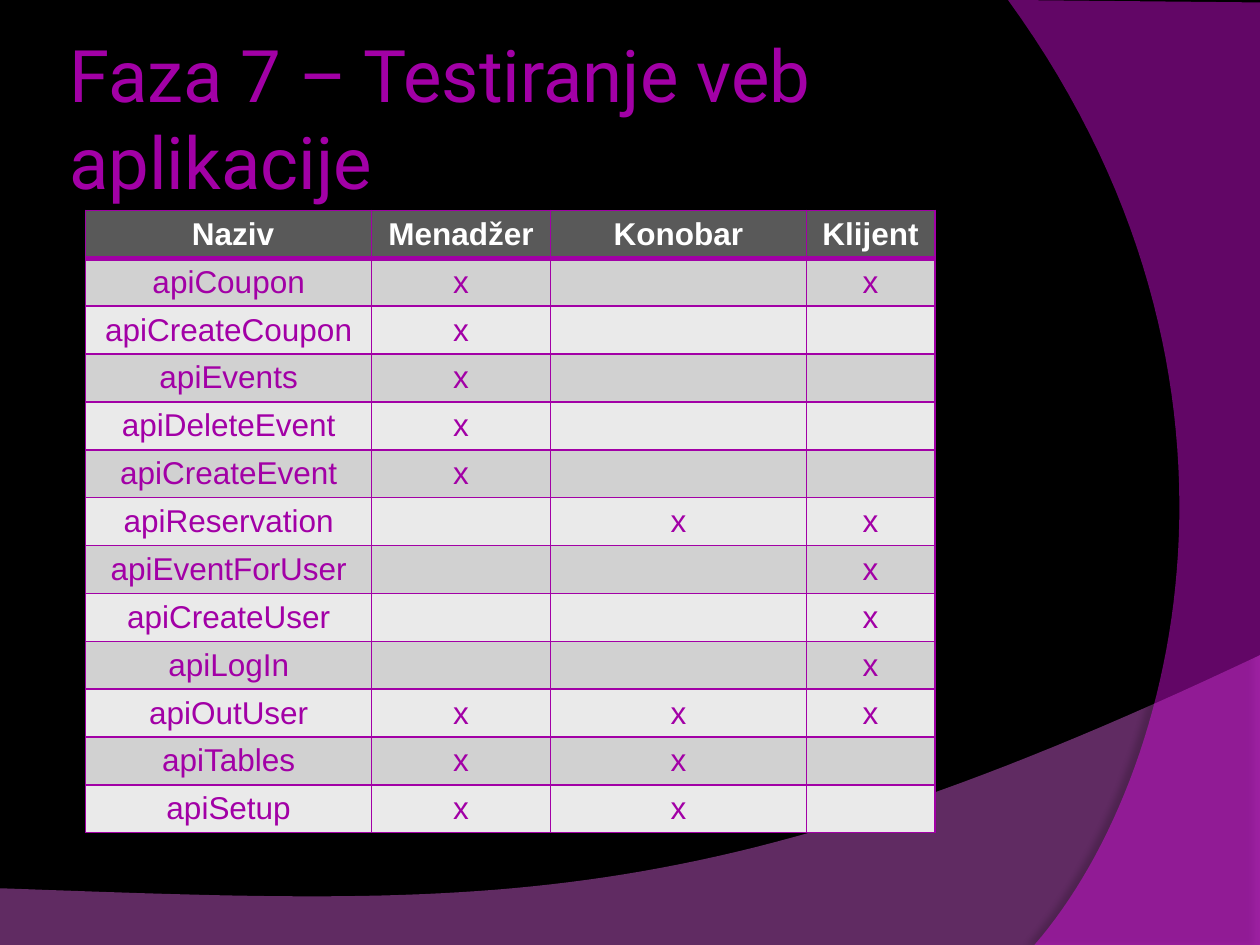
from lxml import etree
from pptx import Presentation
from pptx.dml.color import RGBColor
from pptx.enum.text import MSO_ANCHOR, PP_ALIGN
from pptx.oxml import parse_xml
from pptx.oxml.ns import nsdecls, qn
from pptx.util import Inches, Pt

CENTER, LEFT = PP_ALIGN.CENTER, PP_ALIGN.LEFT
MIDDLE = MSO_ANCHOR.MIDDLE
BLACK = RGBColor(0x00, 0x00, 0x00)
WHITE = RGBColor(0xFF, 0xFF, 0xFF)
PURPLE = RGBColor(0xA2, 0x00, 0xA6)
ORCHID = RGBColor(0xD6, 0x60, 0xDB)
MAGENTA = RGBColor(0xF6, 0x10, 0xFF)
HEADER_GRAY = RGBColor(0x59, 0x59, 0x59)
BAND_GRAYS = (RGBColor(0xEA, 0xEA, 0xEA), RGBColor(0xD1, 0xD1, 0xD1))
CURVE_STEPS = 60


def write(frame, text, size=18, font="Arial", color=PURPLE, bold=False, align=CENTER):
    paragraph = frame.paragraphs[0]
    paragraph.alignment = align
    run = paragraph.add_run()
    run.text = text
    run.font.size = Pt(size)
    run.font.name = font
    run.font.bold = bold
    run.font.color.rgb = color


def curve_points(p0, p1, p2, p3):
    """Return points along a cubic Bezier curve, leaving out its start."""
    points = []
    for step in range(1, CURVE_STEPS + 1):
        t = step / CURVE_STEPS
        weights = ((1 - t) ** 3, 3 * t * (1 - t) ** 2, 3 * t * t * (1 - t), t ** 3)
        points.append(tuple(sum(w * p[axis] for w, p in zip(weights, (p0, p1, p2, p3)))
                            for axis in (0, 1)))
    return points


prs = Presentation()
prs.slide_width, prs.slide_height = Inches(10), Inches(7.5)
slide = prs.slides.add_slide(prs.slide_layouts[6])
slide.background.fill.solid()
slide.background.fill.fore_color.rgb = BLACK

# Decorative waves: outline, colour, opacity, shadow opacity, distance, direction
bottom_wave = [(0, 7.05), (0, 7.5), (10, 7.5), (10, 5.2)]
bottom_wave += curve_points((10, 5.2), (5.59, 7.29), (3.91, 7.19), (0, 7.05))
right_wave = [(10, 0.02), (10, 7.5), (8.21, 7.5)]
right_wave += curve_points((8.21, 7.5), (9.35, 6.19), (10.18, 3), (8, 0))
waves = [
    (bottom_wave, ORCHID, 45, 35, 3.5, 270),
    (right_wave, MAGENTA, 40, 45, 4, 180),
]
for outline, color, opacity, shadow_opacity, distance, direction in waves:
    points = [(Inches(x), Inches(y)) for x, y in outline]
    builder = slide.shapes.build_freeform(*points[0])
    builder.add_line_segments(points[1:], close=True)
    wave = builder.convert_to_shape()
    wave.line.fill.background()
    wave.fill.solid()
    wave.fill.fore_color.rgb = color
    color_element = wave.fill._xPr.find(qn("a:solidFill"))[0]
    etree.SubElement(color_element, qn("a:alpha"), val=str(opacity * 1000))
    wave.shadow.inherit = False
    effects = wave._element.spPr.find(qn("a:effectLst"))
    effects.append(parse_xml(
        f'<a:outerShdw {nsdecls("a")} blurRad="{Pt(4)}" dist="{Pt(distance)}" '
        f'dir="{direction * 60000}" algn="ctr" rotWithShape="0"><a:srgbClr val="{BLACK}">'
        f'<a:alpha val="{shadow_opacity * 1000}"/></a:srgbClr></a:outerShdw>'))

title = slide.shapes.add_textbox(Inches(0.5), Inches(0.3), Inches(8.17), Inches(1.25)).text_frame
title.word_wrap = True
title.vertical_anchor = MIDDLE
title.margin_left = title.margin_right = Inches(0.05)
title.margin_top = title.margin_bottom = Inches(0.05)
write(title, "Faza 7 – Testiranje veb aplikacije", size=41.4, font="Roboto", align=LEFT)

# Access table: which role uses each API
rows = [
    (" Naziv", "Menadžer", "Konobar", "Klijent"),
    ("apiCoupon", "x", "", "x"),
    ("apiCreateCoupon", "x", "", ""),
    ("apiEvents", "x", "", ""),
    ("apiDeleteEvent", "x", "", ""),
    ("apiCreateEvent", "x", "", ""),
    ("apiReservation", "", "x", "x"),
    ("apiEventForUser", "", "", "x"),
    ("apiCreateUser", "", "", "x"),
    ("apiLogIn", "", "", "x"),
    ("apiOutUser", "x", "x", "x"),
    ("apiTables", "x", "x", ""),
    ("apiSetup", "x", "x", ""),
]
column_widths = [2.27, 1.42, 2.03, 1.02]
row_height = Inches(0.38)
access = slide.shapes.add_table(len(rows), len(column_widths), Inches(0.68), Inches(1.67),
                                Inches(sum(column_widths)), row_height * len(rows)).table
for column, width in zip(access.columns, column_widths):
    column.width = Inches(width)

for r, values in enumerate(rows):
    access.rows[r].height = row_height
    is_header = r == 0
    border_widths = {"lnL": 1, "lnR": 1, "lnT": 3 if r == 1 else 1, "lnB": 3 if is_header else 1}
    for c, value in enumerate(values):
        cell = access.cell(r, c)
        cell.margin_top = cell.margin_bottom = Inches(0.04)
        cell.vertical_anchor = MIDDLE
        properties = cell._tc.get_or_add_tcPr()
        for side, width in border_widths.items():
            properties.append(parse_xml(
                f'<a:{side} {nsdecls("a")} w="{Pt(width)}"><a:solidFill>'
                f'<a:srgbClr val="{PURPLE}"/></a:solidFill></a:{side}>'))
        cell.fill.solid()
        cell.fill.fore_color.rgb = HEADER_GRAY if is_header else BAND_GRAYS[r % 2]
        if value:
            write(cell.text_frame, value, bold=is_header, color=WHITE if is_header else PURPLE)

prs.save("out.pptx")
